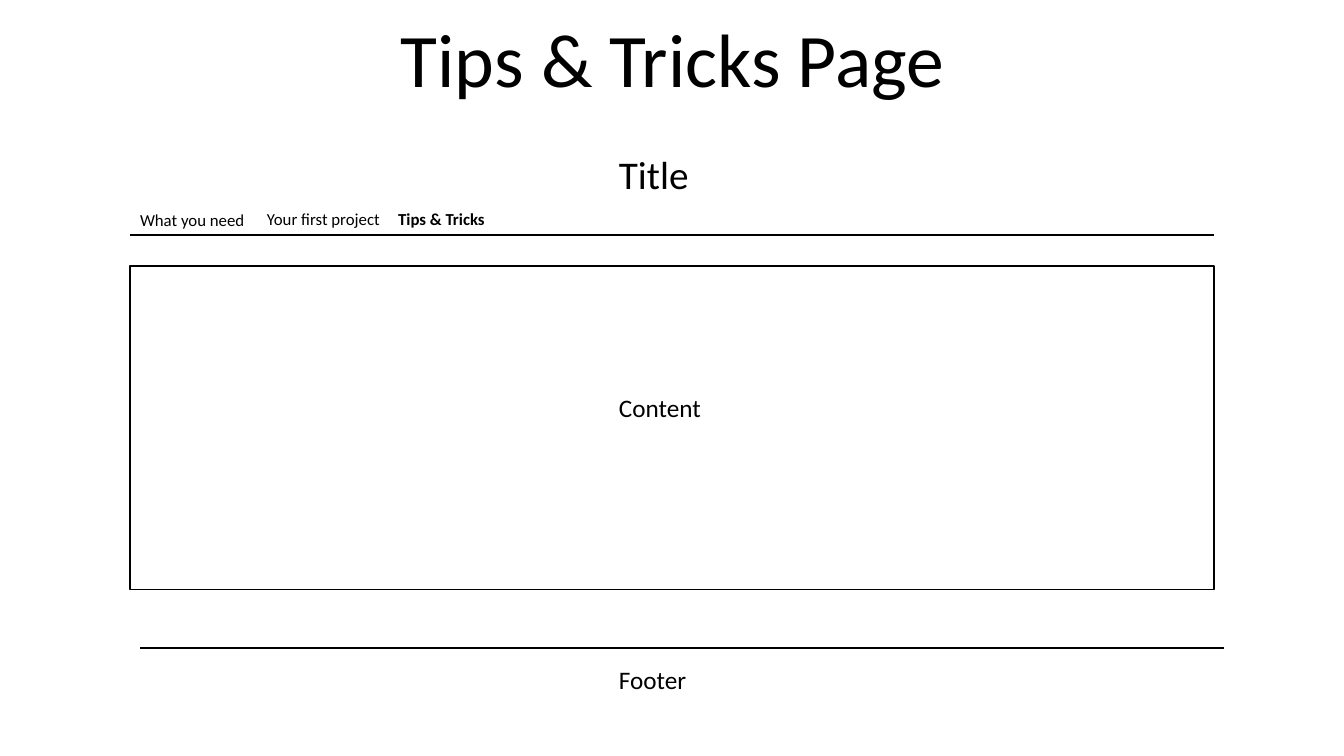
from lxml.etree import SubElement
from pptx import Presentation
from pptx.dml.color import RGBColor
from pptx.enum.shapes import MSO_CONNECTOR, MSO_SHAPE
from pptx.enum.text import MSO_ANCHOR, PP_ALIGN
from pptx.oxml.ns import qn
from pptx.util import Inches, Pt

BLACK = RGBColor(0, 0, 0)
FONT = "Calibri"
FRAME_WIDTH = 10.75
LABEL_INDENT = 4.75


def add_text(page, text, left, top, width, height, size=18, bold=False,
             align=PP_ALIGN.LEFT, anchor=MSO_ANCHOR.TOP, line_spacing=1.0):
    box = page.shapes.add_textbox(
        Inches(left), Inches(top), Inches(width), Inches(height))
    frame = box.text_frame
    frame.word_wrap = True
    frame.vertical_anchor = anchor
    para = frame.paragraphs[0]
    para.alignment = align
    para.line_spacing = line_spacing
    span = para.add_run()
    span.text = text
    span.font.name = FONT
    span.font.size = Pt(size)
    span.font.bold = bold
    span.font.color.rgb = BLACK


def add_rule(page, left, top, width):
    rule = page.shapes.add_connector(
        MSO_CONNECTOR.STRAIGHT,
        Inches(left), Inches(top), Inches(left + width), Inches(top))
    rule.line.color.rgb = BLACK
    rule.line.width = Pt(1.5)
    SubElement(rule._element.spPr, qn("a:effectLst"))


def add_heading(page, left, top, width, height):
    add_text(page, "Tips & Tricks Page", left, top, width, height, size=54,
             align=PP_ALIGN.CENTER, anchor=MSO_ANCHOR.BOTTOM, line_spacing=0.9)


def add_header(page, left, top, width, height):
    add_rule(page, left, top + height, width)
    add_text(page, "Title", left + LABEL_INDENT, top, 1.26, 0.57, size=28)
    tabs = [
        ("What you need", 0, 0.59, 1.31, False),
        ("Your first project", 1.26, 0.58, 1.36, False),
        ("Tips & Tricks", 2.56, 0.58, 1.62, True),
    ]
    for name, indent, drop, tab_width, current in tabs:
        add_text(page, name, left + indent, top + drop, tab_width, 0.3,
                 size=12, bold=current)


def add_content(page, left, top, width, height):
    panel = page.shapes.add_shape(
        MSO_SHAPE.RECTANGLE,
        Inches(left), Inches(top), Inches(width), Inches(height))
    panel.shadow.inherit = False
    panel.fill.background()
    panel.line.color.rgb = BLACK
    panel.line.width = Pt(1)
    add_text(page, "Content", left + LABEL_INDENT, top + 1.2, 3.65, 0.4)


def add_footer(page, left, top, width):
    add_rule(page, left, top, width)
    add_text(page, "Footer", left + LABEL_INDENT - 0.1, top + 0.11, 1.59, 0.4)


def main():
    deck = Presentation()
    deck.slide_width = Inches(13.33)
    deck.slide_height = Inches(7.5)
    page = deck.slides.add_slide(deck.slide_layouts[6])
    add_heading(page, 1.67, 0.17, 10, 0.91)
    add_header(page, 1.29, 1.44, FRAME_WIDTH, 0.89)
    add_content(page, 1.29, 2.64, FRAME_WIDTH, 3.21)
    add_footer(page, 1.39, 6.43, FRAME_WIDTH)
    deck.save("out.pptx")


if __name__ == "__main__":
    main()
